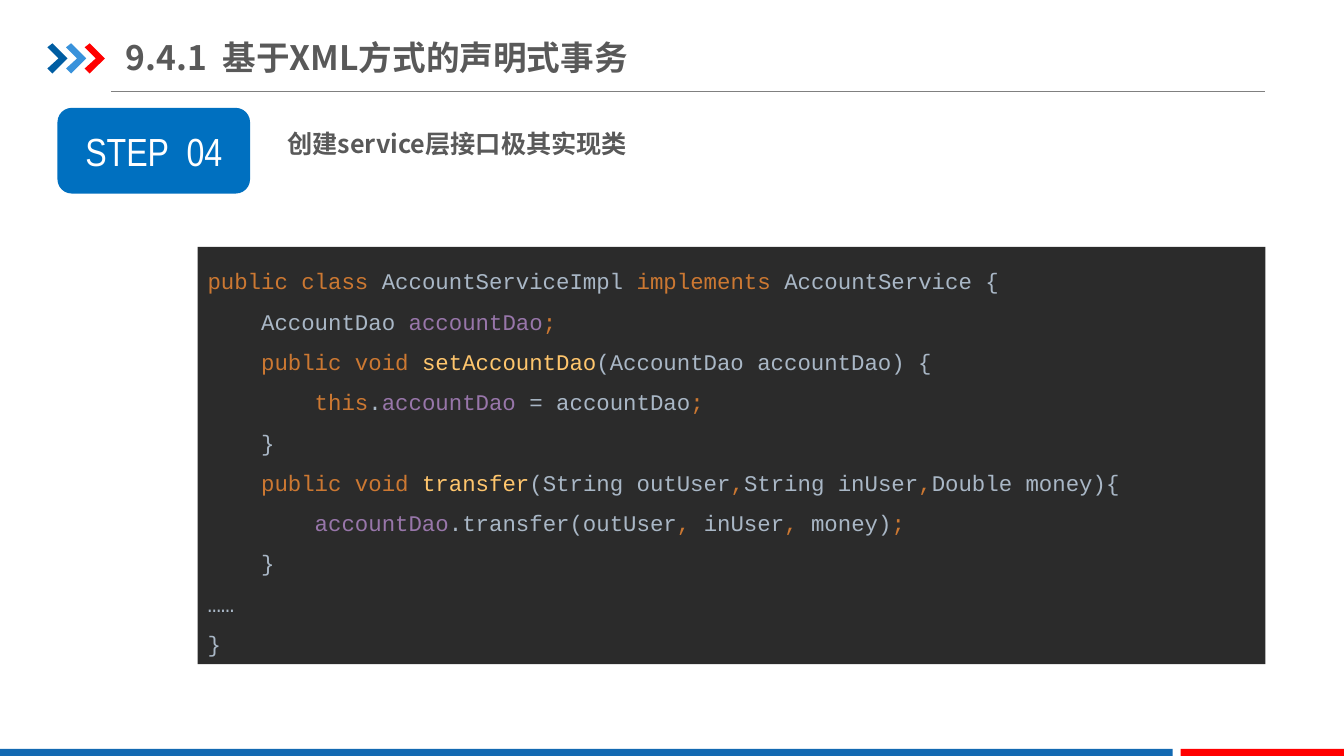
from lxml.etree import SubElement
from pptx import Presentation
from pptx.dml.color import RGBColor as RGB
from pptx.enum.shapes import MSO_CONNECTOR as LINK, MSO_SHAPE as SHAPE
from pptx.enum.text import MSO_ANCHOR as ANCHOR, PP_ALIGN as ALIGN
from pptx.oxml.ns import qn
from pptx.util import Inches, Pt

WHITE = RGB(0xFF, 0xFF, 0xFF)
RED = RGB(0xFF, 0x00, 0x00)
NAVY = RGB(0x00, 0x5D, 0xA2)
SKY = RGB(0x39, 0x92, 0xDB)
BLUE = RGB(0x13, 0x69, 0xB2)
BADGE = RGB(0x00, 0x70, 0xC0)
GREY = RGB(0x59, 0x59, 0x59)
RULE = RGB(0x80, 0x80, 0x80)
DARK = RGB(0x2B, 0x2B, 0x2B)
PLAIN = RGB(0xA9, 0xB7, 0xC6)
WORD = RGB(0xCC, 0x78, 0x32)
FIELD = RGB(0x98, 0x76, 0xAA)
NAME = RGB(0xFF, 0xC6, 0x6D)

HAN = "Noto Sans CJK SC"
MONO = "Courier New"

CODE = [
    [("public class ", WORD), ("AccountServiceImpl ", PLAIN),
     ("implements ", WORD), ("AccountService {", PLAIN)],
    [("    AccountDao ", PLAIN), ("accountDao", FIELD), (";", WORD)],
    [("    public void ", WORD), ("setAccountDao", NAME),
     ("(AccountDao accountDao) {", PLAIN)],
    [("        this", WORD), (".", PLAIN), ("accountDao ", FIELD),
     ("= accountDao", PLAIN), (";", WORD)],
    [("    }", PLAIN)],
    [("    public void ", WORD), ("transfer", NAME),
     ("(String outUser", PLAIN), (",", WORD), ("String inUser", PLAIN),
     (",", WORD), ("Double money){", PLAIN)],
    [("        accountDao", FIELD), (".transfer(outUser", PLAIN),
     (", ", WORD), ("inUser", PLAIN), (", ", WORD), ("money)", PLAIN),
     (";", WORD)],
    [("    }", PLAIN)],
    [("……", PLAIN)],
    [("}", PLAIN)],
]


def paint(shape, color):
    shape.shadow.inherit = False
    shape.fill.solid()
    shape.fill.fore_color.rgb = color
    shape.line.fill.background()


def add_block(slide, kind, box, color):
    shape = slide.shapes.add_shape(kind, *map(Inches, box))
    paint(shape, color)
    return shape


def add_arrow(slide, left, color):
    top = 0.43
    tips = [(0, 0.04), (0.05, 0), (0.2, 0.15), (0.05, 0.3), (0, 0.25), (0.11, 0.15)]
    spots = [(Inches(left + x), Inches(top + y)) for x, y in tips]
    form = slide.shapes.build_freeform(*spots[0])
    form.add_line_segments(spots[1:])
    paint(form.convert_to_shape(), color)


def add_rule(slide):
    rule = slide.shapes.add_connector(
        LINK.STRAIGHT, Inches(1.1), Inches(0.91), Inches(12.55), Inches(0.91))
    rule.line.color.rgb = RULE
    rule.line.width = Pt(0.5)
    SubElement(rule._element.spPr, qn("a:effectLst"))


def set_font(para, name, size, color=None, bold=False):
    font = para.font
    font.name, font.size, font.bold = name, Pt(size), bold
    if color is not None:
        font.color.rgb = color
    SubElement(font._element, qn("a:ea")).set("typeface", name)


def add_head(slide, box, text, size):
    frame = slide.shapes.add_textbox(*map(Inches, box)).text_frame
    frame.word_wrap = True
    para = frame.paragraphs[0]
    para.text = text
    set_font(para, HAN, size, GREY, True)
    return frame


def add_badge(slide, text):
    frame = add_block(slide, SHAPE.ROUNDED_RECTANGLE,
                      (0.57, 1.07, 1.91, 0.85), BADGE).text_frame
    frame.vertical_anchor = ANCHOR.MIDDLE
    para = frame.paragraphs[0]
    para.text = text
    para.alignment = ALIGN.CENTER
    set_font(para, "Arial Narrow", 28, WHITE)


def add_code(slide, lines):
    frame = add_block(slide, SHAPE.RECTANGLE,
                      (1.96, 2.45, 10.59, 4.14), DARK).text_frame
    frame.vertical_anchor = ANCHOR.MIDDLE
    frame.word_wrap = True
    for i, line in enumerate(lines):
        para = frame.add_paragraph() if i else frame.paragraphs[0]
        para.alignment = ALIGN.LEFT
        para.line_spacing = 1.5
        set_font(para, MONO, 16)
        for text, color in line:
            run = para.add_run()
            run.text = text
            run.font.color.rgb = color


def main():
    deck = Presentation()
    deck.slide_width, deck.slide_height = Inches(13.33), Inches(7.5)
    slide = deck.slides.add_slide(deck.slide_layouts[6])

    add_rule(slide)
    for i, color in enumerate((NAVY, SKY, RED)):
        add_arrow(slide, 0.47 + 0.185 * i, color)
    for left, width, color in ((0, 11.63, BLUE), (11.71, 1.63, RED)):
        add_block(slide, SHAPE.RECTANGLE, (left, 7.43, width, 0.09), color)

    add_badge(slide, "STEP  04")
    step = add_head(slide, (2.75, 1.07, 9.28, 0.5), "创建service层接口极其实现类", 18)
    step.paragraphs[0].line_spacing = 1.5
    title = add_head(slide, (1.25, 0.29, 5.77, 0.55), "9.4.1  基于XML方式的声明式事务", 24)
    title.vertical_anchor = ANCHOR.MIDDLE
    title.margin_left = title.margin_right = 0
    add_code(slide, CODE)

    deck.save("out.pptx")


if __name__ == "__main__":
    main()
